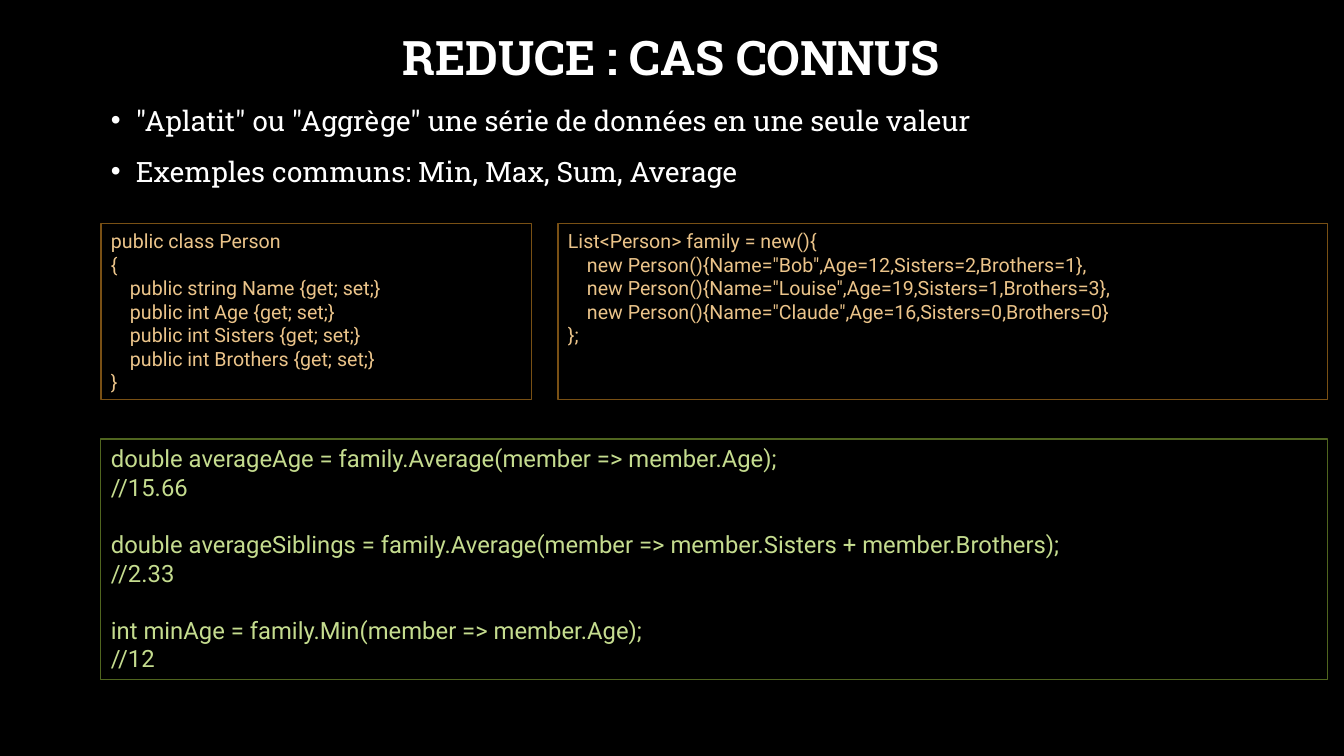
from lxml.etree import SubElement
from pptx import Presentation
from pptx.dml.color import RGBColor
from pptx.enum.shapes import MSO_SHAPE
from pptx.enum.text import MSO_ANCHOR, MSO_AUTO_SIZE, PP_ALIGN
from pptx.oxml.ns import qn
from pptx.util import Pt

BLACK = RGBColor(0x00, 0x00, 0x00)
WHITE = RGBColor(0xFF, 0xFF, 0xFF)
SAND = RGBColor(0xEB, 0xC4, 0x8A)
BROWN = RGBColor(0x79, 0x50, 0x14)
LIME = RGBColor(0xC5, 0xDC, 0x8F)
OLIVE = RGBColor(0x50, 0x65, 0x1F)

HEADING = "REDUCE : CAS CONNUS"
POINTS = [
    '"Aplatit" ou "Aggrège" une série de données en une seule valeur',
    "Exemples communs: Min, Max, Sum, Average",
]
PERSON_CLASS = [[
    (0, "public class Person"),
    (0, "{"),
    (1, "public string Name {get; set;}"),
    (1, "public int Age {get; set;}"),
    (1, "public int Sisters {get; set;}"),
    (1, "public int Brothers {get; set;}"),
    (0, "}"),
]]
FAMILY_LIST = [[
    (0, "List<Person> family = new(){"),
    (1, 'new Person(){Name="Bob",Age=12,Sisters=2,Brothers=1},'),
    (1, 'new Person(){Name="Louise",Age=19,Sisters=1,Brothers=3},'),
    (1, 'new Person(){Name="Claude",Age=16,Sisters=0,Brothers=0}'),
    (0, "};"),
]]
REDUCTIONS = [
    [(0, "double averageAge = family.Average(member => member.Age);"),
     (0, "//15.66")],
    [(0, "double averageSiblings = family.Average(member => member.Sisters + member.Brothers);"),
     (0, "//2.33")],
    [(0, "int minAge = family.Min(member => member.Age);"),
     (0, "//12")],
]

LEFT, RIGHT = 101, 1328
FAMILY_LEFT = 558
DATA_TOP, DATA_HEIGHT = 224, 176
CODE_BOXES = [
    (PERSON_CLASS, (LEFT, DATA_TOP, 431, DATA_HEIGHT), 14, SAND, BROWN),
    (FAMILY_LIST, (FAMILY_LEFT, DATA_TOP, RIGHT - FAMILY_LEFT, DATA_HEIGHT), 14, SAND, BROWN),
    (REDUCTIONS, (LEFT, 439, RIGHT - LEFT, 241), 17, LIME, OLIVE),
]
TAB = 19
BULLET_INDENT = 25


def emu(px):
    return round(px * 914400 / 100.8)


def add_run(paragraph, text, font_name, size, color, bold=False):
    run = paragraph.add_run()
    run.text = text
    run.font.name = font_name
    run.font.size = Pt(size)
    run.font.color.rgb = color
    run.font.bold = bold


def next_paragraph(frame, index):
    return frame.add_paragraph() if index else frame.paragraphs[0]


def add_heading(slide):
    heading = slide.shapes.title
    heading.left, heading.top, heading.width, heading.height = map(emu, (LEFT, -13, 1141, 146))
    heading.text_frame.vertical_anchor = MSO_ANCHOR.MIDDLE
    paragraph = heading.text_frame.paragraphs[0]
    paragraph.alignment = PP_ALIGN.CENTER
    paragraph.line_spacing = 0.9
    add_run(paragraph, HEADING, "Roboto Slab", 34, WHITE, True)


def add_points(slide):
    frame = slide.shapes.add_textbox(*map(emu, (LEFT, 95, 1093, 129))).text_frame
    frame.word_wrap = True
    for index, point in enumerate(POINTS):
        paragraph = next_paragraph(frame, index)
        paragraph.line_spacing = 1.1
        paragraph.space_before = Pt(10)
        properties = paragraph._p.get_or_add_pPr()
        properties.set("marL", str(emu(BULLET_INDENT)))
        properties.set("indent", str(-emu(BULLET_INDENT)))
        SubElement(properties, qn("a:buFont"), typeface="Arial")
        SubElement(properties, qn("a:buChar"), char="•")
        add_run(paragraph, point, "Roboto Slab", 20, WHITE)


def add_code(slide, blocks, place, size, color, border):
    box = slide.shapes.add_shape(MSO_SHAPE.RECTANGLE, *map(emu, place))
    box.shadow.inherit = False
    box.fill.background()
    box.line.color.rgb = border
    box.line.width = Pt(0.75)
    frame = box.text_frame
    frame.word_wrap = True
    frame.vertical_anchor = MSO_ANCHOR.TOP
    frame.auto_size = MSO_AUTO_SIZE.SHAPE_TO_FIT_TEXT
    lines = [(block_index > 0 and line_index == 0, level, code)
             for block_index, block in enumerate(blocks)
             for line_index, (level, code) in enumerate(block)]
    for index, (opens_block, level, code) in enumerate(lines):
        paragraph = next_paragraph(frame, index)
        paragraph.alignment = PP_ALIGN.LEFT
        paragraph.space_before = Pt(round(size * 1.2, 1) if opens_block else 0)
        paragraph._p.get_or_add_pPr().set("marL", str(emu(TAB * level)))
        add_run(paragraph, code, "Roboto", size, color)


def main():
    deck = Presentation()
    deck.slide_width, deck.slide_height = emu(1344), emu(756)
    slide = deck.slides.add_slide(deck.slide_layouts[5])
    slide.background.fill.solid()
    slide.background.fill.fore_color.rgb = BLACK
    add_heading(slide)
    add_points(slide)
    for code_box in CODE_BOXES:
        add_code(slide, *code_box)
    deck.save("out.pptx")


if __name__ == "__main__":
    main()
